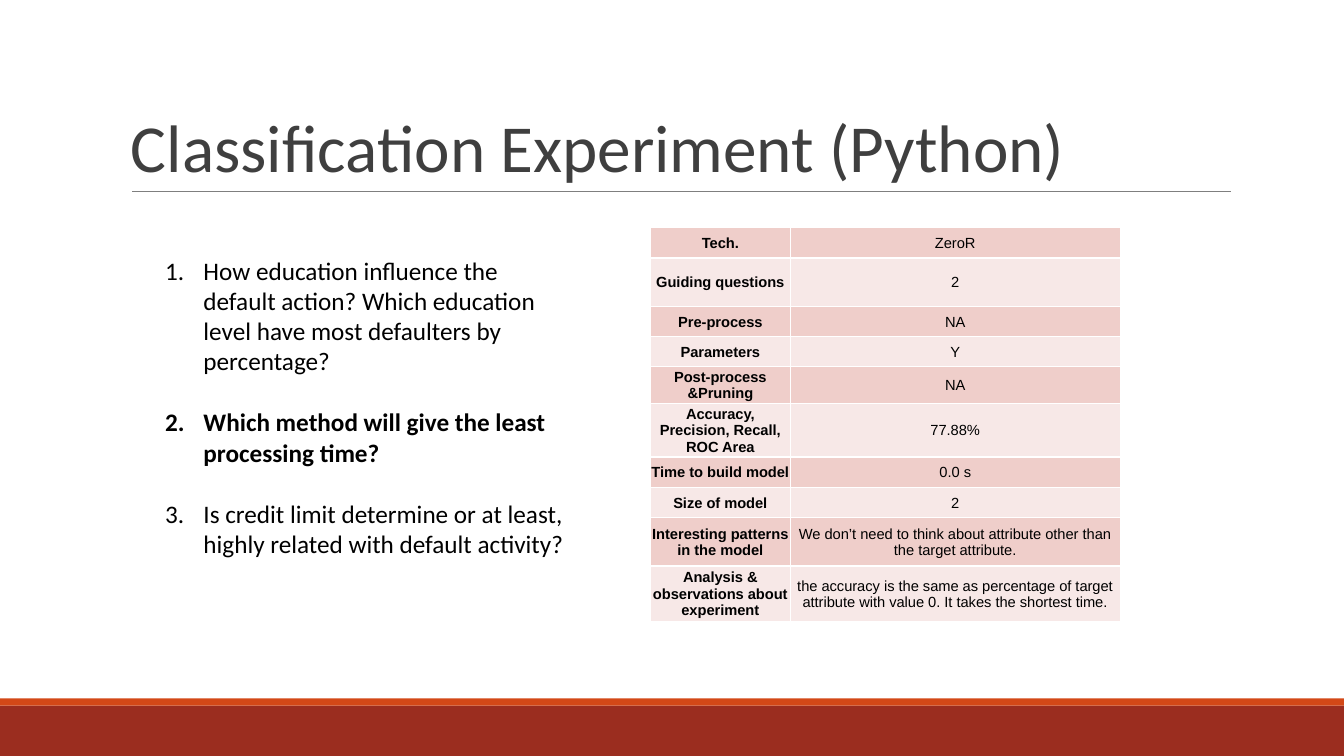
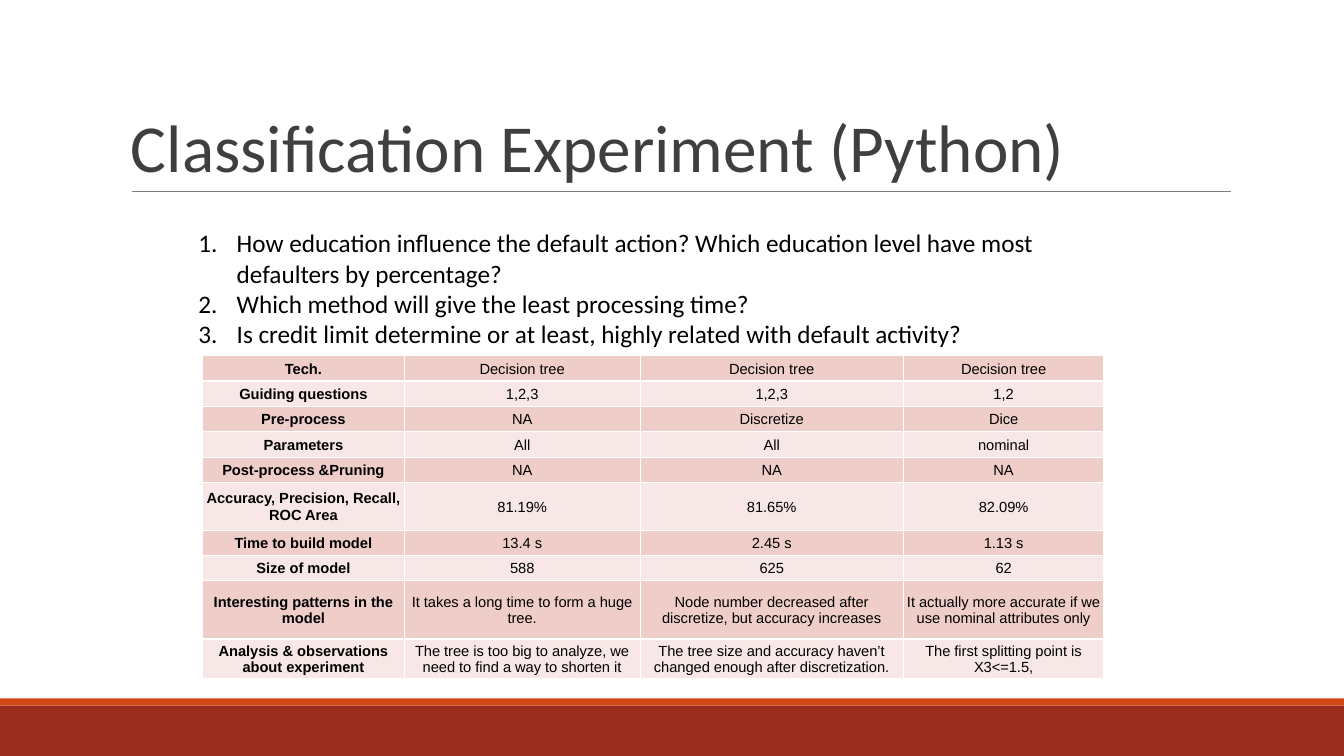
from lxml.etree import SubElement
from pptx import Presentation
from pptx.dml.color import RGBColor
from pptx.enum.shapes import MSO_CONNECTOR, MSO_SHAPE
from pptx.enum.text import MSO_ANCHOR, PP_ALIGN
from pptx.oxml.ns import qn
from pptx.util import Inches, Pt

BLACK = RGBColor(0x00, 0x00, 0x00)
WHITE = RGBColor(0xFF, 0xFF, 0xFF)
TITLE_GRAY = RGBColor(0x3F, 0x3F, 0x3F)
RULE_GRAY = RGBColor(0x7F, 0x7F, 0x7F)
DARK_RED = RGBColor(0x9B, 0x2D, 0x1F)
ORANGE = RGBColor(0xD3, 0x48, 0x17)
ROW_FILLS = (RGBColor(0xEF, 0xCE, 0xCA), RGBColor(0xF7, 0xE8, 0xE7))

SLIDE_WIDTH, SLIDE_HEIGHT = 13.33, 7.5
BANDS = ((7, 0.5, DARK_RED), (6.93, 0.07, ORANGE))
TITLE = "Classification Experiment (Python)"
QUESTIONS = (
    "How education influence the default action? Which education level have most defaulters by percentage?",
    "Which method will give the least processing time?",
    "Is credit limit determine or at least, highly related with default activity?",
)
ROW_LABELS = (
    "Tech.",
    "Guiding questions",
    "Pre-process",
    "Parameters",
    "Post-process &Pruning",
    "Accuracy, Precision, Recall, ROC Area",
    "Time to build model",
    "Size of model",
    "Interesting patterns in the model",
    "Analysis & observations about experiment",
)
SLIDES = (
    {
        "questions_box": (1.54, 2.48, 4.23, 3.13),
        "question_gap": 22,
        "bold_question": 1,
        "table_corner": (6.45, 2.26),
        "column_widths": (1.39, 3.27),
        "row_heights": (0.3, 0.48, 0.3, 0.3, 0.3, 0.46, 0.3, 0.3, 0.48, 0.55),
        "experiments": (
            ("ZeroR", "2", "NA", "Y", "NA", "77.88%", "0.0 s", "2",
             "We don’t need to think about attribute other than the target attribute.",
             "the accuracy is the same as percentage of target attribute with value 0. "
             "It takes the shortest time."),
        ),
    },
    {
        "questions_box": (1.87, 2.21, 9.24, 1.31),
        "question_gap": 0,
        "bold_question": None,
        "table_corner": (2.01, 3.53),
        "column_widths": (2, 2.34, 2.61, 1.99),
        "row_heights": (0.25, 0.25, 0.25, 0.26, 0.25, 0.47, 0.25, 0.25, 0.58, 0.39),
        "experiments": (
            ("Decision tree", "1,2,3", "NA", "All", "NA", "81.19%", "13.4 s", "588",
             "It takes a long time to form a huge tree.",
             "The tree is too big to analyze, we need to find a way to shorten it"),
            ("Decision tree", "1,2,3", "Discretize", "All", "NA", "81.65%", "2.45 s", "625",
             "Node number decreased after discretize, but accuracy increases",
             "The tree size and accuracy haven’t changed enough after discretization."),
            ("Decision tree", "1,2", "Dice", "nominal", "NA", "82.09%", "1.13 s", "62",
             "It actually more accurate if we use nominal attributes only",
             "The first splitting point is X3<=1.5,"),
        ),
    },
)


def add_run(paragraph, text, font_name, size, color, bold=False):
    run = paragraph.add_run()
    run.text = text
    run.font.name = font_name
    run.font.size = Pt(size)
    run.font.color.rgb = color
    run.font.bold = bold


def add_text_frame(slide, box):
    text_frame = slide.shapes.add_textbox(*map(Inches, box)).text_frame
    text_frame.word_wrap = True
    return text_frame


def add_frame(slide):
    for top, height, color in BANDS:
        band = slide.shapes.add_shape(
            MSO_SHAPE.RECTANGLE, 0, Inches(top), Inches(SLIDE_WIDTH), Inches(height))
        band.shadow.inherit = False
        band.fill.solid()
        band.fill.fore_color.rgb = color
        band.line.fill.background()
    rule = slide.shapes.add_connector(
        MSO_CONNECTOR.STRAIGHT, Inches(1.31), Inches(1.9), Inches(12.21), Inches(1.9))
    rule.line.color.rgb = RULE_GRAY
    rule.line.width = Pt(0.75)
    SubElement(rule._element.spPr, qn("a:effectLst"))
    text_frame = add_text_frame(slide, (1.2, 0.31, 11, 1.59))
    text_frame.vertical_anchor = MSO_ANCHOR.BOTTOM
    paragraph = text_frame.paragraphs[0]
    paragraph.line_spacing = 0.85
    add_run(paragraph, TITLE, "Calibri", 48, TITLE_GRAY)


def add_questions(slide, box, gap, bold_question):
    text_frame = add_text_frame(slide, box)
    for index, question in enumerate(QUESTIONS):
        paragraph = text_frame.add_paragraph() if index else text_frame.paragraphs[0]
        paragraph.space_after = Pt(gap)
        properties = paragraph._p.get_or_add_pPr()
        properties.set("marL", str(Inches(0.38)))
        properties.set("indent", str(-Inches(0.38)))
        SubElement(properties, qn("a:buFont"), typeface="+mj-lt")
        SubElement(properties, qn("a:buAutoNum"), type="arabicPeriod")
        add_run(paragraph, question, "Calibri", 18, BLACK, index == bold_question)


def add_borders(cell):
    properties = cell._tc.get_or_add_tcPr()
    for side in ("lnL", "lnR", "lnT", "lnB"):
        border = SubElement(properties, qn(f"a:{side}"), w=str(Pt(1)))
        fill = SubElement(border, qn("a:solidFill"))
        SubElement(fill, qn("a:srgbClr"), val=str(WHITE))


def fill_cell(cell, text, color, bold):
    add_borders(cell)
    cell.fill.solid()
    cell.fill.fore_color.rgb = color
    cell.vertical_anchor = MSO_ANCHOR.MIDDLE
    cell.margin_left = cell.margin_right = cell.margin_top = Inches(0.01)
    cell.margin_bottom = 0
    paragraph = cell.text_frame.paragraphs[0]
    paragraph.alignment = PP_ALIGN.CENTER
    add_run(paragraph, text, "Arial", 10.5, BLACK, bold)


def add_results(slide, corner, column_widths, row_heights, experiments):
    left, top = map(Inches, corner)
    table = slide.shapes.add_table(
        len(row_heights), len(column_widths), left, top,
        Inches(sum(column_widths)), Inches(sum(row_heights))).table
    table.first_row = table.horz_banding = False
    for column, width in zip(table.columns, column_widths):
        column.width = Inches(width)
    for row, height in zip(table.rows, row_heights):
        row.height = Inches(height)
    for row_index, texts in enumerate(zip(ROW_LABELS, *experiments)):
        for column_index, text in enumerate(texts):
            fill_cell(table.cell(row_index, column_index), text,
                      ROW_FILLS[row_index % 2], column_index == 0)


def main():
    """Build the classification experiment slides."""
    presentation = Presentation()
    presentation.slide_width = Inches(SLIDE_WIDTH)
    presentation.slide_height = Inches(SLIDE_HEIGHT)
    for content in SLIDES:
        slide = presentation.slides.add_slide(presentation.slide_layouts[6])
        add_frame(slide)
        add_questions(slide, content["questions_box"], content["question_gap"],
                      content["bold_question"])
        add_results(slide, content["table_corner"], content["column_widths"],
                    content["row_heights"], content["experiments"])
    presentation.save("out.pptx")


if __name__ == "__main__":
    main()
